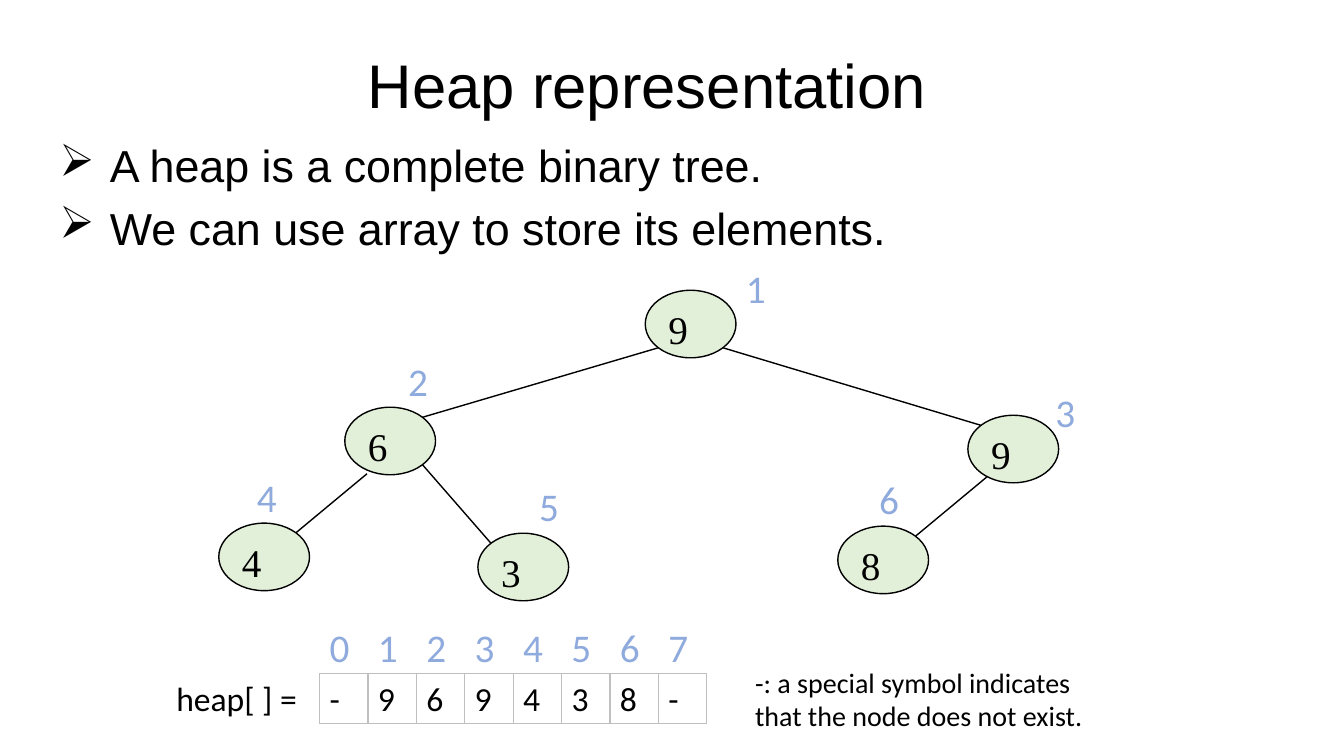
from lxml import etree
from pptx import Presentation
from pptx.dml.color import RGBColor
from pptx.enum.shapes import MSO_CONNECTOR, MSO_SHAPE
from pptx.enum.text import MSO_ANCHOR, PP_ALIGN
from pptx.oxml.ns import qn
from pptx.util import Inches, Pt

OVAL, RECT = MSO_SHAPE.OVAL, MSO_SHAPE.RECTANGLE
LINE = MSO_CONNECTOR.STRAIGHT
TOP, MIDDLE = MSO_ANCHOR.TOP, MSO_ANCHOR.MIDDLE
LEFT, CENTER = PP_ALIGN.LEFT, PP_ALIGN.CENTER
COLORS = {"ink": "000000", "index": "8FAADC", "node": "E2F0D9",
          "cell": "BFBFBF", "white": "FFFFFF"}


def write(par, text, size, font, color="ink", align=LEFT):
    par.alignment = align
    run = par.add_run()
    run.text = text
    run.font.size = Pt(size)
    run.font.name = font
    run.font.color.rgb = RGBColor.from_string(COLORS[color])


def add_box(at, text, size, font="Calibri", color="ink", wrap=True,
            kind=None, fill=None, edge=None, width=0.75):
    """Add a text box, or a preset shape when kind is given."""
    place = [Inches(v) for v in at]
    if kind is None:
        box = slide.shapes.add_textbox(*place)
    else:
        box = slide.shapes.add_shape(kind, *place)
        box.shadow.inherit = False
        box.line.color.rgb = RGBColor.from_string(COLORS[edge])
        box.line.width = Pt(width)
        if fill:
            box.fill.solid()
            box.fill.fore_color.rgb = RGBColor.from_string(COLORS[fill])
        else:
            box.fill.background()
    frame = box.text_frame
    frame.word_wrap = wrap
    frame.vertical_anchor = TOP
    write(frame.paragraphs[0], text, size, font, color)


prs = Presentation()
prs.slide_width, prs.slide_height = Inches(13.33), Inches(7.5)
slide = prs.slides.add_slide(prs.slide_layouts[5])

# Title
title = slide.shapes.title
title.left, title.top = Inches(2.17), Inches(0.25)
title.width, title.height = Inches(8.5), Inches(1.25)
title.text_frame.vertical_anchor = MIDDLE
head = title.text_frame.paragraphs[0]
head.line_spacing = 0.9
write(head, "Heap representation", 44, "Arial", align=CENTER)

# Bullets
body = slide.shapes.add_textbox(Inches(0.49), Inches(1.38), Inches(11.52), Inches(1.92))
frame = body.text_frame
frame.word_wrap = True
points = ["A heap is a complete binary tree.",
          "We can use array to store its elements."]
for i, point in enumerate(points):
    par = frame.add_paragraph() if i else frame.paragraphs[0]
    props = par._p.get_or_add_pPr()
    props.set("marL", str(Inches(0.5)))
    props.set("indent", str(-Inches(0.5)))
    etree.SubElement(props, qn("a:buChar")).set("char", "➢")
    par.line_spacing = 0.9
    if i:
        par.space_before = Pt(10)
    write(par, point, 32, "Arial")

# Tree edges: parent end, child end
edges = [(6.53, 3.45, 4.19, 4.14), (7.17, 3.45, 9.73, 4.22),
         (3.64, 4.7, 2.93, 5.29), (4.19, 4.61, 4.87, 5.39),
         (9.79, 4.73, 9.08, 5.32)]
for ends in edges:
    edge = slide.shapes.add_connector(LINE, *[Inches(v) for v in ends])
    edge.line.color.rgb = RGBColor.from_string(COLORS["ink"])
    edge.line.width = Pt(1)
    etree.SubElement(edge._element.spPr, qn("a:effectLst"))

# Tree nodes: value, node corner, index corner
nodes = [("9", 6.4, 2.88, 7.3, 2.57), ("6", 3.42, 4.04, 3.95, 3.5),
         ("9", 9.6, 4.12, 10.37, 3.8), ("4", 2.17, 5.19, 2.45, 4.65),
         ("3", 4.74, 5.29, 5.25, 4.74), ("8", 8.31, 5.22, 8.62, 4.67)]
for index, (value, x, y, tag_x, tag_y) in enumerate(nodes, 1):
    add_box((x, y, 0.9, 0.67), value, 28, "Times New Roman",
            kind=OVAL, fill="node", edge="ink", width=1)
    add_box((tag_x, tag_y, 0.4, 0.57), str(index), 28, color="index", wrap=False)

# Array
add_box((1.65, 6.68, 1.41, 0.5), "heap[ ] =", 24, wrap=False, kind=RECT, edge="white")
cells = ["-"] + [node[0] for node in nodes] + ["-"]
for index, value in enumerate(cells):
    x = 3.17 + 0.48 * index
    add_box((x, 6.68, 0.48, 0.5), value, 24, kind=RECT, edge="cell")
    add_box((x, 6.13, 0.4, 0.57), str(index), 28, color="index", wrap=False)

add_box((7.39, 6.55, 3.84, 0.77),
        "-: a special symbol indicates that the node does not exist.", 20)

prs.save("out.pptx")
